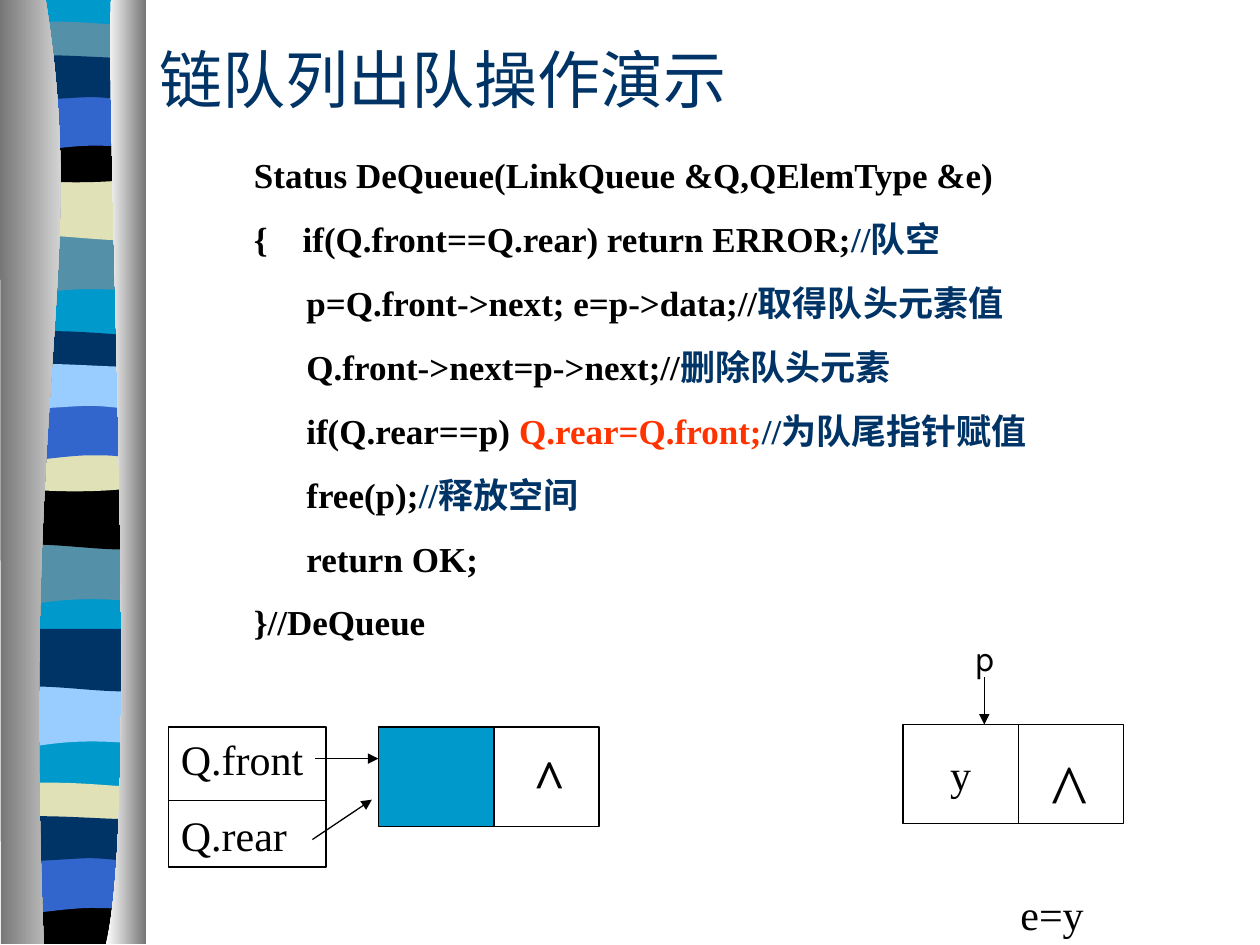
import pptx
import pptx.util
import pptx.dml.color
import pptx.enum.shapes
import pptx.enum.text
import pptx.oxml
import pptx.oxml.ns

Pt = pptx.util.Pt
qn = pptx.oxml.ns.qn
NS = 'xmlns:a="http://schemas.openxmlformats.org/drawingml/2006/main"'
SERIF = "Times New Roman"
COLORS = {
    "black": "000000", "navy": "003366", "red": "FF3300", "cyan": "0099CC",
    "teal": "5490A8", "sand": "E1E1B7", "blue": "3366CC", "sky": "99CCFF",
    "white": "FFFFFF", "gray": "767676",
}

# Outlines in points: a pair is a corner, a six-tuple is a cubic curve.
BANDS = {
    "sweep": [(78, 0), (78, 34), (24, 28, 13, 39.5, 0, 34), (0, 0)],
    "swell": [(78, 0), (78, 34), (65, 39.5, 24, 30, 0, 34), (0, 0)],
    "thin": [(78, 3.5), (78, 21), (65, 24, 13, 24, 0, 21), (0, 3.5),
             (4.5, 0, 16.5, 0.7, 29.5, 0.7), (42.5, 0.7, 68, 3, 78, 3.5)],
    "bowl": [(78, 0), (78, 23), (65, 27.5, 13, 27.5, 0, 23), (0, 0),
             (47.5, 3.6, 61, 0, 78, 0)],
    "floor": [(78, 0), (78, 26.5), (0, 26.5), (0, 0), (47.5, 3.6, 61, 0, 78, 0)],
    "arch": [(78, 0), (78, 34), (66, 30, 61, 30, 47.5, 30),
             (34.5, 30, 11.5, 34, 0, 34), (0, 0)],
    "wave": [(78, 3.6), (78, 26), (73, 29.5, 61, 26, 47.5, 26),
             (34.5, 26, 8, 29.5, 0, 26), (0, 3.6), (11, 0, 53, 3.6, 66, 3.6),
             (79, 3.6, 75.5, 3.6, 78, 3.6)],
}
# band, left, top, colour, from back to front
RIBBON = [
    ("sweep", 4.5, 133, "teal"), ("swell", 4.5, 101.5, "sand"),
    ("thin", 4.5, 11.7, "teal"), ("bowl", 4.5, 77.8, "black"),
    ("arch", 4.5, 53.3, "blue"), ("wave", 4.5, 29.5, "navy"),
    ("sweep", 3.8, 310.2, "teal"), ("swell", 3.8, 278.2, "black"),
    ("thin", 3.8, 188.6, "navy"), ("bowl", 3.8, 254.4, "sand"),
    ("arch", 3.8, 230.2, "blue"), ("wave", 3.8, 205.9, "sky"),
    ("sweep", 4.2, 391.5, "sky"), ("swell", 4.2, 359.3, "navy"),
    ("thin", 3.8, 446.6, "sand"), ("floor", 3.8, 512.8, "black"),
    ("arch", 3.8, 488.9, "blue"), ("wave", 3.8, 464.4, "navy"),
]
BACKING = [(82.5, -0.5), (82.5, 538), (4.5, 538), (4.5, -0.5)]
LEFT_COLUMN = [(26, -0.5), (51, 155.5, 12, 213, 25, 539.5), (0.5, 539.5), (0, -0.5)]
RIGHT_COLUMN = [(63.5, -0.5), (60.5, 90, 80, 465, 60.5, 539.5), (83.5, 539.5),
                (83.5, 0)]

CODE = [
    [("Status DeQueue(LinkQueue &Q,QElemType &e)", "black")],
    [("{    if(Q.front==Q.rear) return ERROR;", "black"), ("//队空", "navy")],
    [("      p=Q.front->next; e=p->data;//", "black"), ("取得队头元素值", "navy")],
    [("      Q.front->next=p->next;//", "black"), ("删除队头元素", "navy")],
    [("      if(Q.rear==p) ", "black"), ("Q.rear=Q.front;", "red"),
     ("//为队尾指针赋值", "navy")],
    [("      free(p);", "black"), ("//释放空间", "navy")],
    [("      return OK;", "black")],
    [("}//DeQueue", "black")],
]


def rgb(name):
    return pptx.dml.color.RGBColor.from_string(COLORS[name])


def bend(sp, outline):
    """Join the three segments of each six-tuple into one cubic curve."""
    segments = iter(list(sp._element.iter(qn("a:lnTo"))))
    for part in outline[1:]:
        first = next(segments)
        if len(part) == 6:
            first.tag = qn("a:cubicBezTo")
            for _ in range(2):
                extra = next(segments)
                first.append(extra[0])
                extra.getparent().remove(extra)


def add_outline(s, outline, dx=0, dy=0):
    points = [(Pt(part[i] + dx), Pt(part[i + 1] + dy))
              for part in outline for i in range(0, len(part), 2)]
    builder = s.shapes.build_freeform(*points[0])
    builder.add_line_segments(points[1:], close=True)
    sp = builder.convert_to_shape()
    bend(sp, outline)
    sp.shadow.inherit = False
    sp.line.fill.background()
    return sp


def add_band(s, outline, left, top, color):
    sp = add_outline(s, outline, left, top)
    sp.fill.solid()
    sp.fill.fore_color.rgb = rgb(color)


def add_column(s, outline, start, end):
    """Draw a column shaded from left to right."""
    sp = add_outline(s, outline)
    sp.fill.gradient()
    sp.fill.gradient_angle = 0
    for stop, color in zip(sp.fill.gradient_stops, (start, end)):
        stop.color.rgb = rgb(color)


def add_rect(s, x, y, w, h, fill=None):
    kind = pptx.enum.shapes.MSO_SHAPE.RECTANGLE
    sp = s.shapes.add_shape(kind, Pt(x), Pt(y), Pt(w), Pt(h))
    sp.shadow.inherit = False
    if fill:
        sp.fill.solid()
        sp.fill.fore_color.rgb = rgb(fill)
    else:
        sp.fill.background()
    sp.line.color.rgb = rgb("black")
    sp.line.width = Pt(0.75)
    return sp


def write(sp, lines, size, font=SERIF, bold=False, gap=0, align="LEFT",
          anchor="TOP", wrap=True):
    """Fill a shape with lines, each a list of (text, colour) runs."""
    tf = sp.text_frame
    tf.word_wrap = wrap
    tf.vertical_anchor = pptx.enum.text.MSO_ANCHOR[anchor]
    for i, line in enumerate(lines):
        p = tf.add_paragraph() if i else tf.paragraphs[0]
        p.alignment = pptx.enum.text.PP_ALIGN[align]
        p.space_before = Pt(gap if i else 0)
        for text, color in line:
            r = p.add_run()
            r.text = text
            r.font.name = font
            r.font.size = Pt(size)
            r.font.bold = bold
            r.font.color.rgb = rgb(color)


def add_text(s, x, y, w, h, lines, size, **style):
    write(s.shapes.add_textbox(Pt(x), Pt(y), Pt(w), Pt(h)), lines, size, **style)


def add_line(s, x1, y1, x2, y2, arrow=False):
    kind = pptx.enum.shapes.MSO_CONNECTOR.STRAIGHT
    cx = s.shapes.add_connector(kind, Pt(x1), Pt(y1), Pt(x2), Pt(y2))
    cx.line.color.rgb = rgb("black")
    cx.line.width = Pt(0.75)
    if arrow:
        tail = pptx.oxml.parse_xml(f'<a:tailEnd {NS} type="triangle"/>')
        cx._element.spPr.find(qn("a:ln")).append(tail)
    cx._element.spPr.append(pptx.oxml.parse_xml(f"<a:effectLst {NS}/>"))


def add_node(s, x, y, fill=None):
    """Draw a list node and return its data cell; the link cell is to its right."""
    data = add_rect(s, x, y, 66, 56.7, fill)
    add_rect(s, x + 66, y, 60, 56.7)
    return data


def main():
    prs = pptx.Presentation()
    prs.slide_width, prs.slide_height = Pt(720), Pt(540)
    s = prs.slides.add_slide(prs.slide_layouts[6])

    add_band(s, BACKING, 0, 0, "cyan")
    for band, left, top, color in RIBBON:
        add_band(s, BANDS[band], left, top, color)
    add_column(s, LEFT_COLUMN, "gray", "white")
    add_column(s, RIGHT_COLUMN, "white", "gray")

    add_text(s, 84, 18, 369.5, 54, [[("链队列出队操作演示", "navy")]], 36, anchor="MIDDLE")
    add_text(s, 138, 84.25, 516, 287, CODE, 20, bold=True, gap=12.5)

    queue = add_rect(s, 96.25, 415.5, 90, 80)
    write(queue, [[("Q.front", "black")], [("Q.rear", "black")]], 24, gap=15)
    add_line(s, 96, 457.5, 186.5, 457.5)

    add_node(s, 216.25, 415.5, "cyan")
    add_line(s, 180.25, 433.5, 216.25, 433.5, arrow=True)
    add_line(s, 178.5, 479.75, 212.5, 457, arrow=True)
    add_text(s, 298, 421.25, 33, 46, [[("^", "black")]], 32, bold=True, wrap=False)

    removed = add_node(s, 516, 414)
    write(removed, [[("y", "black")]], 24, align="CENTER", anchor="MIDDLE", wrap=False)
    add_text(s, 594, 420, 36, 60.5, [[("^", "black")]], 44)
    add_text(s, 576, 504, 60, 36, [[("e=y", "black")]], 24)
    add_line(s, 562.5, 386.75, 562.5, 414, arrow=True)
    add_text(s, 549.5, 360, 60, 31.5, [[("p", "black")]], 20, font="Karla")

    prs.save("out.pptx")


if __name__ == "__main__":
    main()
